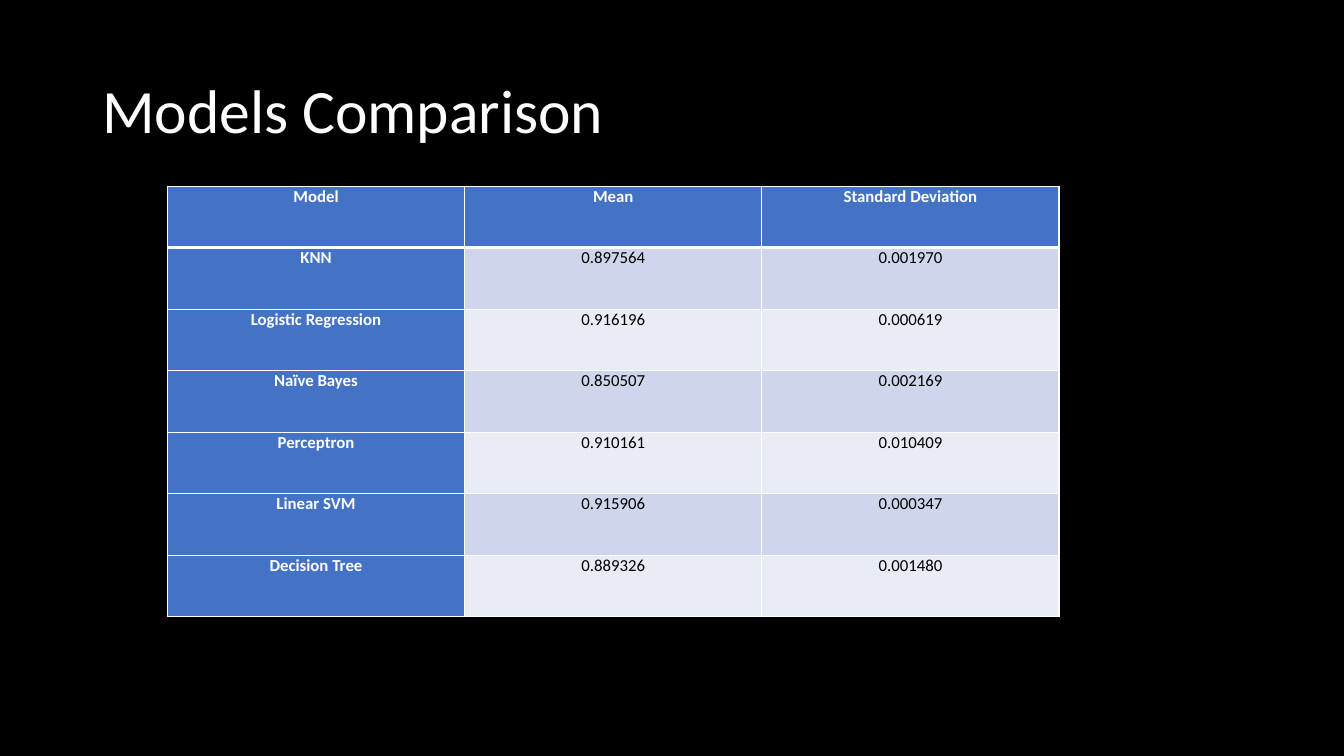
from lxml import etree
from pptx import Presentation
from pptx.dml.color import RGBColor
from pptx.enum.text import MSO_ANCHOR, PP_ALIGN
from pptx.oxml.ns import qn
from pptx.util import Cm, Pt

MIDDLE = MSO_ANCHOR.MIDDLE
TOP = MSO_ANCHOR.TOP
LEFT = PP_ALIGN.LEFT
CENTER = PP_ALIGN.CENTER

BLACK, WHITE, BLUE = "000000", "FFFFFF", "4472C4"
BANDS = ("CFD5EA", "E9EBF5")

MODELS = [
    ("Model", "Mean", "Standard Deviation"),
    ("KNN", "0.897564", "0.001970"),
    ("Logistic Regression", "0.916196", "0.000619"),
    ("Naïve Bayes", "0.850507", "0.002169"),
    ("Perceptron", "0.910161", "0.010409"),
    ("Linear SVM", "0.915906", "0.000347"),
    ("Decision Tree", "0.889326", "0.001480"),
]


def rgb(value):
    return RGBColor.from_string(value)


def set_format(obj, values):
    for name, value in values.items():
        setattr(obj, name, value)


class SlideBuilder:
    font = "Calibri"

    def __init__(self, prs):
        self.s = prs.slides.add_slide(prs.slide_layouts[6])

    def background(self, color):
        fill = self.s.background.fill
        fill.solid()
        fill.fore_color.rgb = rgb(color)

    def add_text(self, tf, text, size, color, align, bold=False, spacing=1.0):
        p = tf.paragraphs[0]
        set_format(p, {"alignment": align, "line_spacing": spacing})
        r = p.add_run()
        r.text = text
        set_format(r.font, {"name": self.font, "size": Pt(size), "bold": bold})
        r.font.color.rgb = rgb(color)

    def title(self, text, x, y, w, h):
        tf = self.s.shapes.add_textbox(Cm(x), Cm(y), Cm(w), Cm(h)).text_frame
        set_format(tf, {"word_wrap": True, "vertical_anchor": MIDDLE})
        self.add_text(tf, text, 44, WHITE, LEFT, spacing=0.9)

    def borders(self, cell, widths):
        tc_pr = cell._tc.get_or_add_tcPr()
        for side, width in widths.items():
            ln = etree.SubElement(tc_pr, qn(f"a:ln{side}"), w=str(Pt(width)))
            fill = etree.SubElement(ln, qn("a:solidFill"))
            etree.SubElement(fill, qn("a:srgbClr"), val=WHITE)

    def cell(self, cell, text, row, col):
        heading = row == 0 or col == 0
        set_format(cell, {
            "margin_left": Cm(0.19), "margin_right": Cm(0.19),
            "margin_top": 0, "margin_bottom": 0, "vertical_anchor": TOP,
        })
        self.borders(cell, {
            "L": 1, "R": 1,
            "T": 3 if row == 1 else 1,
            "B": 3 if row == 0 else 1,
        })
        cell.fill.solid()
        cell.fill.fore_color.rgb = rgb(BLUE if heading else BANDS[(row - 1) % 2])
        self.add_text(cell.text_frame, text, 12, WHITE if heading else BLACK,
                      CENTER, bold=heading)

    def table(self, rows, x, y, col_width, row_height):
        n_rows, n_cols = len(rows), len(rows[0])
        table = self.s.shapes.add_table(
            n_rows, n_cols, Cm(x), Cm(y),
            Cm(col_width * n_cols), Cm(row_height * n_rows)).table
        for column in table.columns:
            column.width = Cm(col_width)
        for i, values in enumerate(rows):
            table.rows[i].height = Cm(row_height)
            for j, text in enumerate(values):
                self.cell(table.cell(i, j), text, i, j)


def main():
    prs = Presentation()
    set_format(prs, {"slide_width": Cm(33.87), "slide_height": Cm(19.05)})
    slide = SlideBuilder(prs)
    slide.background(BLACK)
    slide.title("Models Comparison", 2.33, 1.01, 29.21, 3.68)
    slide.table(MODELS, 4.22, 4.69, 7.49, 1.55)
    prs.save("out.pptx")


if __name__ == "__main__":
    main()
